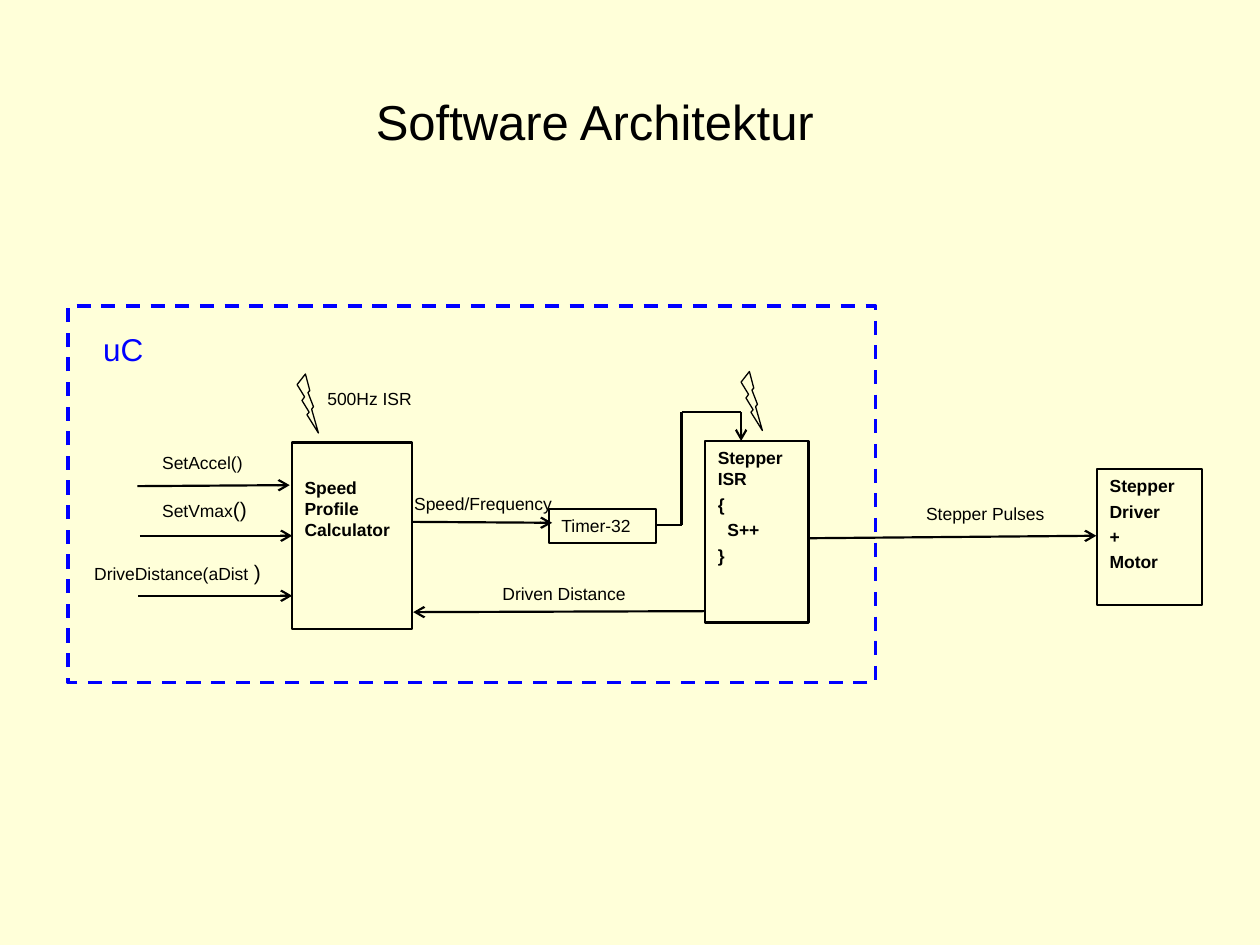
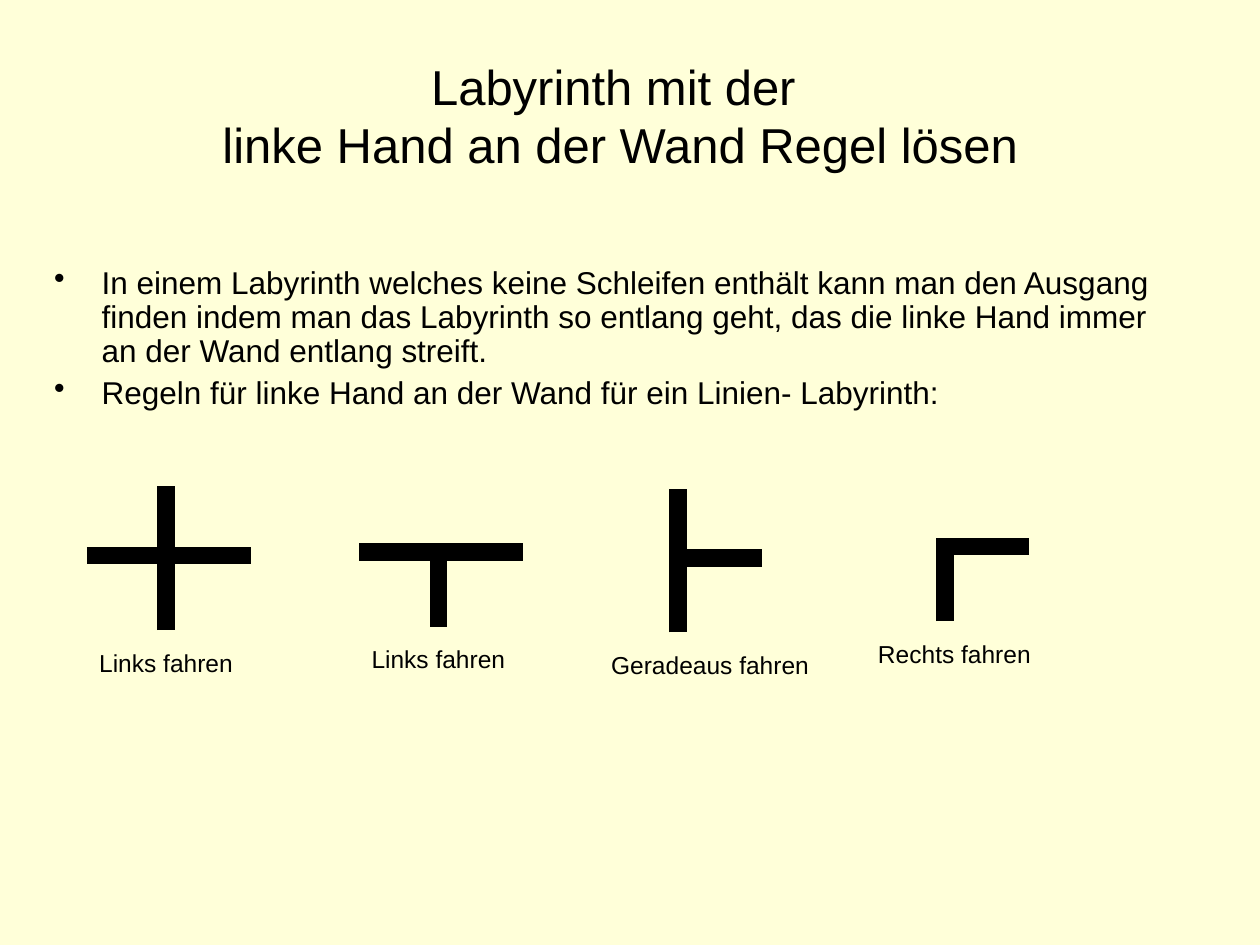
from lxml.etree import SubElement
from pptx import Presentation
from pptx.dml.color import RGBColor
from pptx.enum.dml import MSO_LINE
from pptx.enum.shapes import MSO_CONNECTOR, MSO_SHAPE as Preset
from pptx.enum.text import MSO_ANCHOR as Anchor, PP_ALIGN as Align
from pptx.oxml.ns import qn
from pptx.util import Cm, Pt

COLORS = {"background": "FFFFD9", "ink": "000000", "controller": "0000FF"}
FONT = "Arial"
TITLE_FORMAT = {"size": Pt(28), "bold": False}
BODY_FORMAT = {"size": Pt(18)}
LABEL_FORMAT = {"size": Pt(10)}
BLOCK_FORMAT = {"size": Pt(10), "bold": True}
CAPTION_FORMAT = {"size": Pt(14)}
FRAME_FORMAT = {
    "word_wrap": True, "vertical_anchor": Anchor.TOP,
    "margin_left": Cm(0.25), "margin_right": Cm(0.25),
    "margin_top": Cm(0.13), "margin_bottom": Cm(0.13),
}


# Shared helpers
def color(name):
    return RGBColor.from_string(COLORS[name])


def set_attributes(target, values):
    for name, value in values.items():
        setattr(target, name, value)


def format_font(font, values, color_name="ink"):
    set_attributes(font, {"name": FONT, **values})
    font.color.rgb = color(color_name)


def place(shape, box):
    sides = ("left", "top", "width", "height")
    set_attributes(shape, dict(zip(sides, map(Cm, box))))


def fill_frame(frame, lines, font_format, color_name="ink", space=0):
    set_attributes(frame, FRAME_FORMAT)
    for index, line in enumerate(lines):
        paragraph = frame.paragraphs[0] if index == 0 else frame.add_paragraph()
        paragraph.text = line
        paragraph.alignment = Align.LEFT
        if index:
            paragraph.space_before = Pt(space)
        format_font(paragraph.font, font_format, color_name)


def add_titled_slide(presentation, title, box):
    slide = presentation.slides.add_slide(presentation.slide_layouts[5])
    shape = slide.shapes.title
    place(shape, box)
    fill_frame(shape.text_frame, [title], TITLE_FORMAT)
    shape.text_frame.vertical_anchor = Anchor.MIDDLE
    shape.text_frame.paragraphs[0].alignment = Align.CENTER
    return slide


def add_label(slide, text, box, font_format=LABEL_FORMAT, color_name="ink"):
    shape = slide.shapes.add_textbox(*map(Cm, box))
    fill_frame(shape.text_frame, [text], font_format, color_name)
    return shape


def add_outline(slide, preset, box, width=1.25, color_name="ink"):
    shape = slide.shapes.add_shape(preset, *map(Cm, box))
    shape.shadow.inherit = False
    shape.fill.background()
    shape.line.color.rgb = color(color_name)
    shape.line.width = Pt(width)
    return shape


def add_block(slide, lines, box, font_format=BLOCK_FORMAT):
    shape = add_outline(slide, Preset.RECTANGLE, box)
    fill_frame(shape.text_frame, lines, font_format, space=2.5)
    return shape


def add_line(slide, start, end, width=1.25, arrow=False):
    line = slide.shapes.add_connector(
        MSO_CONNECTOR.STRAIGHT, *map(Cm, (*start, *end)))
    line.line.color.rgb = color("ink")
    line.line.width = Pt(width)
    properties = line._element.spPr
    if arrow:
        SubElement(properties.find(qn("a:ln")), qn("a:tailEnd"), type="arrow")
    SubElement(properties, qn("a:effectLst"))


def add_path(slide, points):
    last = len(points) - 2
    for index, (start, end) in enumerate(zip(points, points[1:])):
        add_line(slide, start, end, arrow=index == last)


def add_bullets(slide, items, box):
    frame = slide.shapes.add_textbox(*map(Cm, box)).text_frame
    fill_frame(frame, items, BODY_FORMAT, space=4.5)
    for paragraph in frame.paragraphs:
        paragraph.line_spacing = 0.9
        properties = paragraph._p.get_or_add_pPr()
        properties.set("marL", str(Cm(0.96)))
        properties.set("indent", str(-Cm(0.96)))
        bullet = properties.makeelement(qn("a:buChar"), {"char": "•"})
        properties.find(qn("a:defRPr")).addprevious(bullet)


def add_junction(slide, caption, left, center, width, bar_start, stem_top):
    """A line crossing: a bar, a stem below and perhaps above it, a caption."""
    add_line(slide, (left + bar_start, center), (left + 3.3, center), 10)
    stem = left + 1.6
    add_line(slide, (stem, center + 1.5), (stem, center + stem_top), 10)
    add_label(slide, caption, (left, center + 1.73, width, 0.86), CAPTION_FORMAT)


# Slides
def build_architecture(presentation):
    slide = add_titled_slide(
        presentation, "Software Architektur", (2.82, 1.85, 18.34, 1.19))

    # Microcontroller boundary
    boundary = add_outline(slide, Preset.RECTANGLE, (1.37, 6.17, 16.28, 7.59),
                           2, "controller")
    boundary.line.dash_style = MSO_LINE.DASH
    add_label(slide, "uC", (1.83, 6.53, 1.4, 1.02), BODY_FORMAT, "controller")

    # Blocks
    calculator = add_block(slide, ["Speed Profile Calculator"],
                           (5.89, 8.92, 2.41, 3.76))
    calculator.text_frame.margin_top = Cm(0.7)
    add_block(slide, ["Timer-32"], (11.07, 10.26, 2.16, 0.69), LABEL_FORMAT)
    add_block(slide, ["Stepper ISR", "{", "  S++", "}"],
              (14.22, 8.89, 2.08, 3.66))
    add_block(slide, ["Stepper", "Driver", "+", "Motor"],
              (22.12, 9.45, 2.11, 2.74))

    # Interrupts
    for left, top in ((5.99, 7.54), (14.94, 7.49)):
        add_outline(slide, Preset.LIGHTNING_BOLT, (left, top, 0.43, 1.19), 0.75)

    # Signal paths
    for points in (
        [(2.77, 9.8), (5.84, 9.78)],
        [(2.82, 10.8), (5.89, 10.8)],
        [(2.79, 12.01), (5.89, 12.01)],
        [(8.31, 10.52), (11.13, 10.54)],
        [(13.23, 10.59), (13.74, 10.59), (13.74, 8.31), (14.94, 8.31),
         (14.94, 8.89)],
        [(14.22, 12.32), (8.33, 12.34)],
        [(16.31, 10.85), (22.1, 10.8)],
    ):
        add_path(slide, points)

    # Signal names
    for text, left, top, width in (
        ("500Hz ISR", 6.35, 7.7, 2.54),
        ("SetAccel()", 3.02, 8.99, 2.82),
        ("Speed/Frequency", 8.1, 9.8, 3.33),
        ("Driven Distance", 9.88, 11.63, 3.3),
        ("Stepper Pulses", 18.42, 10.01, 3.28),
    ):
        add_label(slide, text, (left, top, width, 0.69))
    for text, ending, left, top, width in (
        ("SetVmax", "()", 3.02, 9.88, 2.69),
        ("DriveDistance(aDist", " )", 1.65, 11.15, 3.99),
    ):
        label = add_label(slide, text, (left, top, width, 0.76))
        run = label.text_frame.paragraphs[0].add_run()
        run.text = ending
        format_font(run.font, {"size": Pt(12)})


def build_labyrinth(presentation):
    slide = add_titled_slide(
        presentation,
        "Labyrinth mit der \vlinke Hand an der Wand Regel lösen",
        (1.68, 1.02, 21.64, 2.59))
    add_bullets(slide, [
        "In einem Labyrinth welches keine Schleifen enthält kann man den Ausgang"
        "\vfinden indem man das Labyrinth so entlang geht, das die linke Hand immer"
        "\van der Wand entlang streift.",
        "Regeln für linke Hand an der Wand für ein Linien- Labyrinth:",
    ], (0.84, 5.26, 23.47, 3.56))

    # Caption, left, bar height, caption width, bar start, stem top
    for junction in (
        ("Links fahren", 1.75, 11.2, 3.61, 0, -1.4),
        ("Links fahren", 7.24, 11.13, 3.61, 0, -0.13),
        ("Geradeaus fahren", 12.07, 11.25, 4.52, 1.5, -1.4),
        ("Rechts fahren", 17.45, 11.02, 3.99, 1.5, -0.18),
    ):
        add_junction(slide, *junction)


def main():
    presentation = Presentation()
    presentation.slide_width = Cm(25.4)
    presentation.slide_height = Cm(19.05)
    background = presentation.slide_master.background.fill
    background.solid()
    background.fore_color.rgb = color("background")
    build_architecture(presentation)
    build_labyrinth(presentation)
    presentation.save("out.pptx")


if __name__ == "__main__":
    main()
